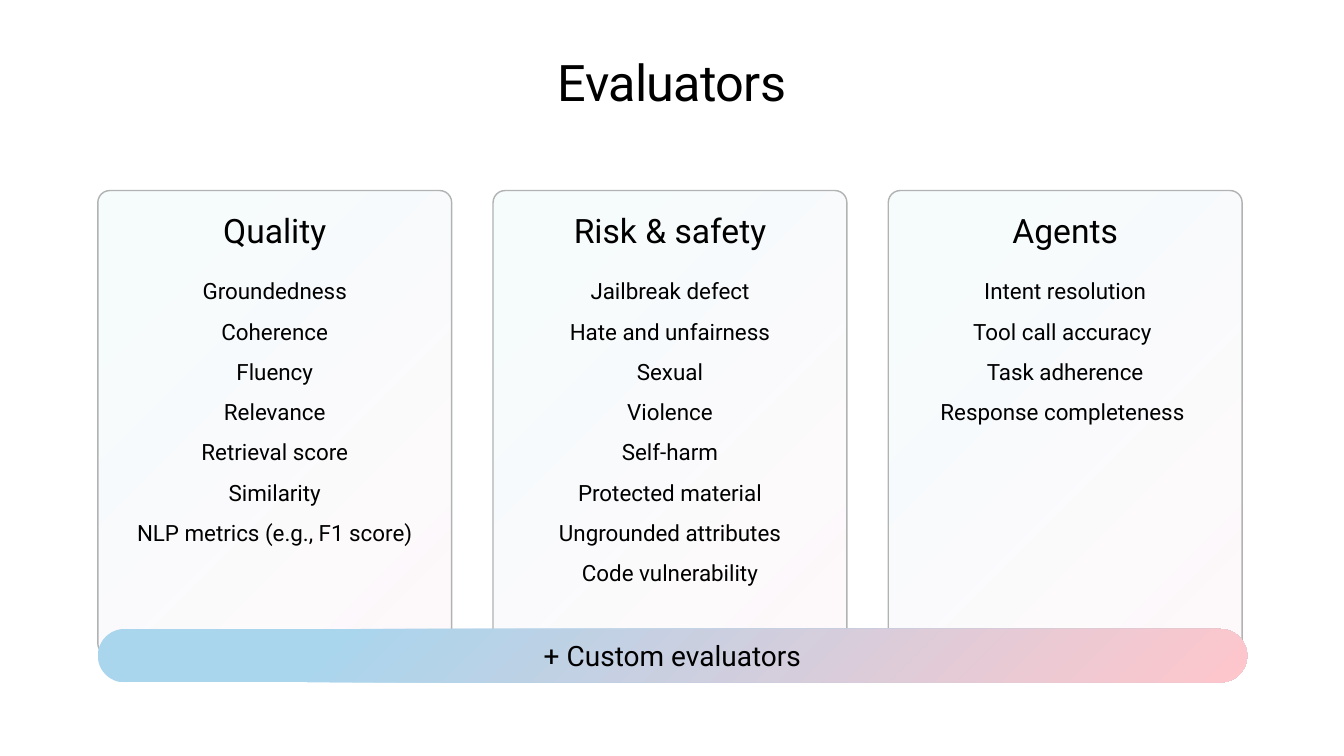
from dataclasses import dataclass

from lxml.etree import SubElement
from pptx import Presentation
from pptx.dml.color import RGBColor
from pptx.enum.shapes import MSO_SHAPE as Shape
from pptx.enum.text import MSO_ANCHOR as Anchor, MSO_AUTO_SIZE as Fit, PP_ALIGN as Align
from pptx.oxml.ns import qn
from pptx.util import Inches, Pt

BLACK = RGBColor(0x00, 0x00, 0x00)
GRAY = RGBColor(0xB1, 0xB3, 0xB3)
PINK = RGBColor(0xFF, 0xC6, 0xCC)
BLUE = RGBColor(0xA9, 0xD5, 0xED)
FONT = "Roboto"
LEFT, TOP, PITCH = 0.97, 1.89, 3.92
WIDTH, HEIGHT = 3.51, 4.61


@dataclass(frozen=True)
class Card:
    title: str
    items: tuple[str, ...]


CARDS = (
    Card("Quality", (
        "Groundedness", "Coherence", "Fluency", "Relevance",
        "Retrieval score", "Similarity", "NLP metrics (e.g., F1 score)",
    )),
    Card("Risk & safety", (
        "Jailbreak defect", "Hate and unfairness", "Sexual", "Violence",
        "Self-harm", "Protected material", "Ungrounded attributes",
        "Code vulnerability",
    )),
    Card("Agents", (
        "Intent resolution", "Tool call accuracy ", "Task adherence",
        "Response completeness ",
    )),
)


def set_box(frame, inset_x: float = 0, inset_y: float = 0, anchor=Anchor.MIDDLE) -> None:
    frame.word_wrap = True
    frame.auto_size = Fit.NONE
    frame.vertical_anchor = anchor
    frame.margin_left = frame.margin_right = Inches(inset_x)
    frame.margin_top = frame.margin_bottom = Inches(inset_y)


def write(para, text: str, *, size: float, before: float = 0, track: float = 0) -> None:
    para.alignment = Align.CENTER
    para.space_before = Pt(before)
    run = para.add_run()
    run.text = text
    run.font.name = FONT
    run.font.size = Pt(size)
    run.font.color.rgb = BLACK
    if track:
        run.font._element.set("spc", str(round(track * 100)))


def glow(shape, alpha: int) -> None:
    """Fill with a radial blend, pink at the bottom right corner to blue."""
    shape.fill.gradient()
    grad = shape._element.spPr.find(qn("a:gradFill"))
    for child in list(grad):
        grad.remove(child)
    stops = SubElement(grad, qn("a:gsLst"))
    for pos, color in ((0, PINK), (80, BLUE)):
        stop = SubElement(stops, qn("a:gs"), pos=str(pos * 1000))
        tint = SubElement(stop, qn("a:srgbClr"), val=str(color))
        if alpha < 100:
            SubElement(tint, qn("a:alpha"), val=str(alpha * 1000))
    focus = SubElement(grad, qn("a:path"), {"path": "circle"})
    SubElement(focus, qn("a:fillToRect"), l="100000", t="100000")


def add_panel(slide, left: float, top: float, width: float, height: float,
              *, radius: float, alpha: int = 100):
    panel = slide.shapes.add_shape(
        Shape.ROUNDED_RECTANGLE, Inches(left), Inches(top), Inches(width), Inches(height))
    panel.adjustments[0] = radius
    panel.shadow.inherit = False
    panel.line.fill.background()
    glow(panel, alpha)
    return panel


def add_card(slide, card: Card, left: float) -> None:
    panel = add_panel(slide, left, TOP, WIDTH, HEIGHT, radius=0.034, alpha=10)
    panel.line.color.rgb = GRAY
    panel.line.width = Pt(1)
    frame = panel.text_frame
    set_box(frame, 0.2, 0.16, Anchor.TOP)
    write(frame.paragraphs[0], card.title, size=24)
    for index, item in enumerate(card.items):
        write(frame.add_paragraph(), item, size=16, before=9.6 if index else 19.2)


def main() -> None:
    deck = Presentation()
    deck.slide_width, deck.slide_height = Inches(13.33), Inches(7.5)
    slide = deck.slides.add_slide(deck.slide_layouts[5])

    title = slide.shapes.title
    title.left, title.top = Inches(0.64), Inches(0.5)
    title.width, title.height = Inches(12.05), Inches(0.61)
    set_box(title.text_frame)
    write(title.text_frame.paragraphs[0], "Evaluators", size=36, track=-0.5)

    for index, card in enumerate(CARDS):
        add_card(slide, card, LEFT + index * PITCH)

    banner = add_panel(slide, LEFT, 6.24, 11.4, 0.53, radius=0.5)
    set_box(banner.text_frame, 0, 0.05)
    write(banner.text_frame.paragraphs[0], "+ Custom evaluators", size=20)

    deck.save("out.pptx")


if __name__ == "__main__":
    main()
